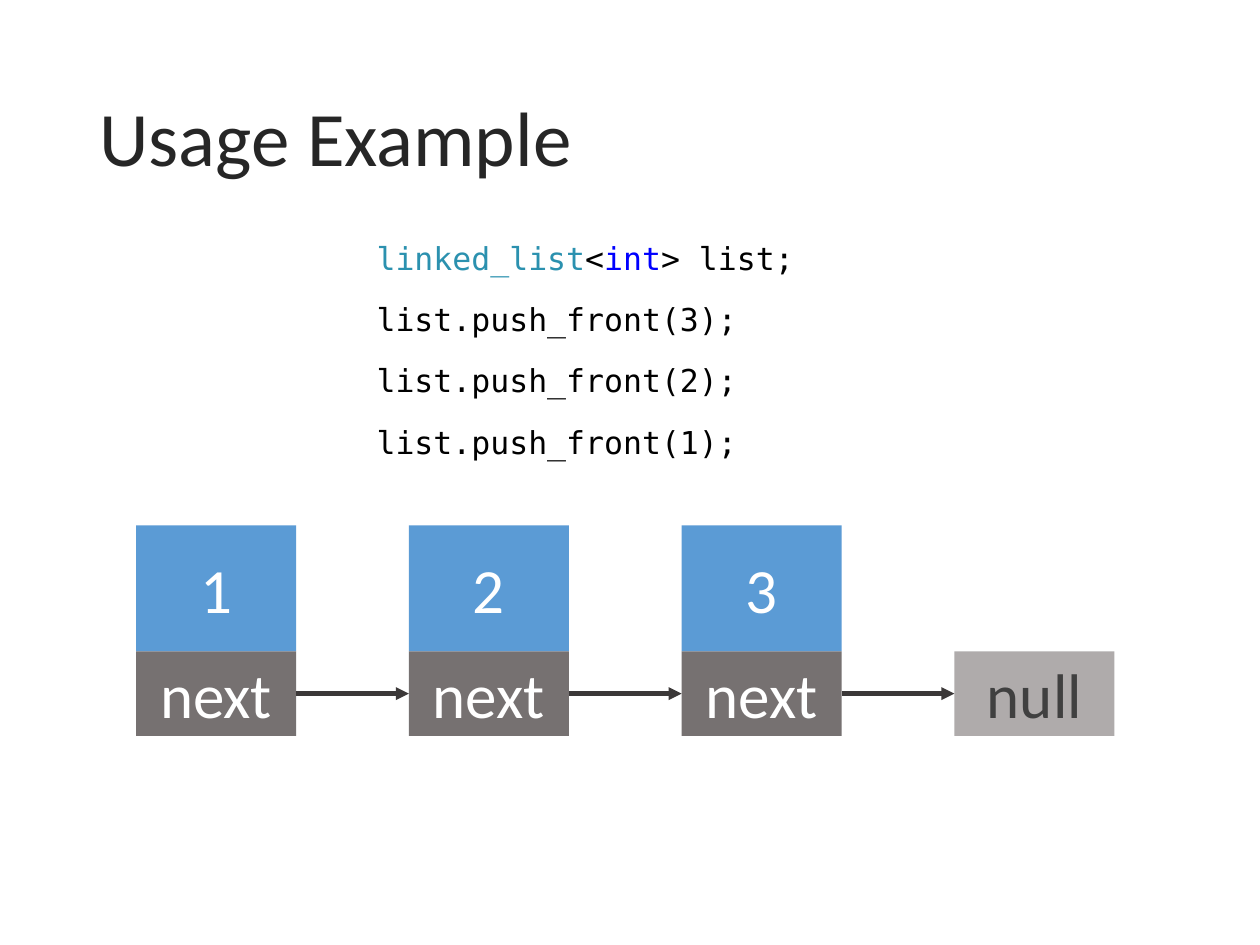
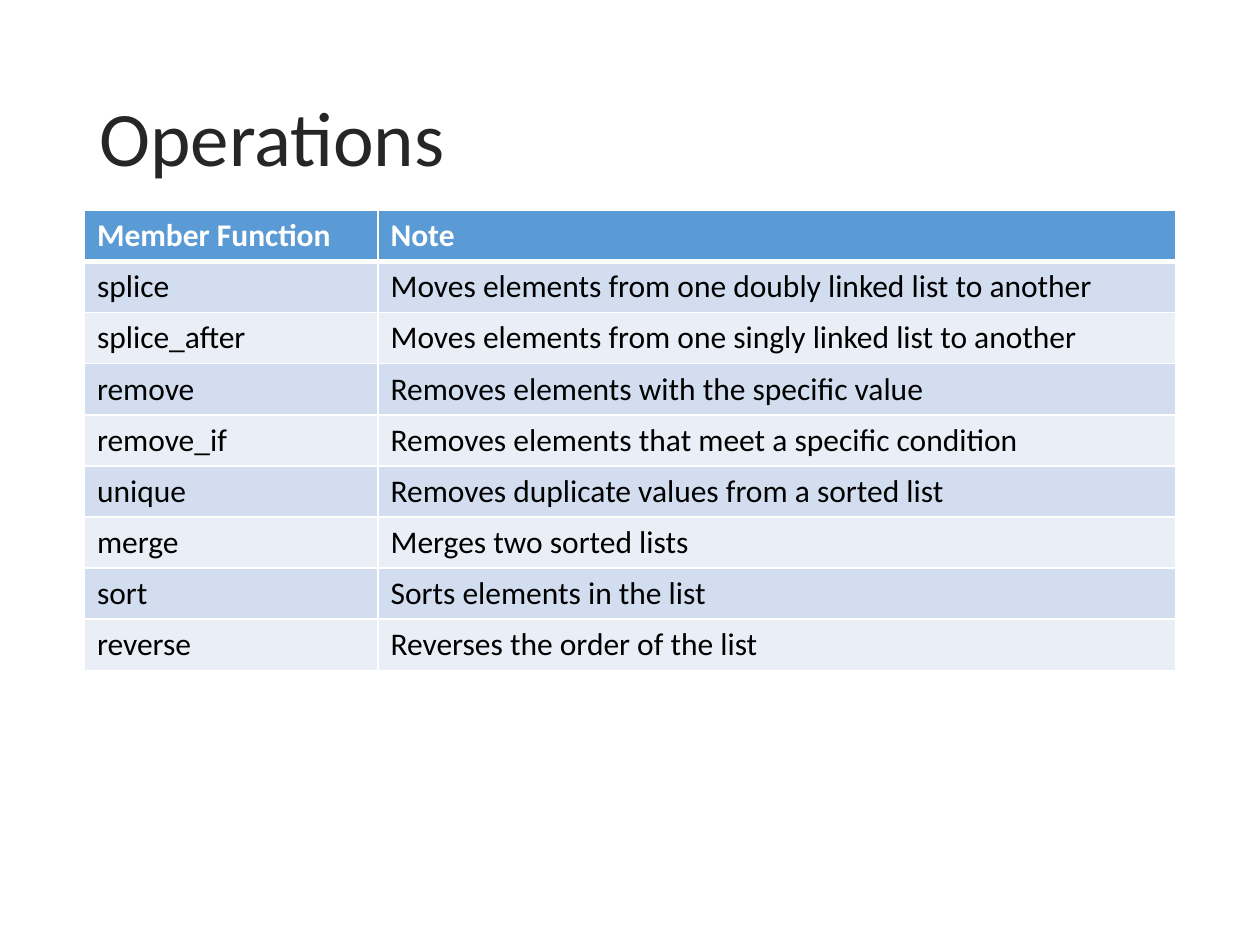
from lxml.etree import SubElement
from pptx import Presentation
from pptx.dml.color import RGBColor
from pptx.enum.shapes import MSO_CONNECTOR as Connector, MSO_SHAPE as Shape
from pptx.enum.text import MSO_ANCHOR as Anchor, PP_ALIGN as Align
from pptx.oxml import parse_xml
from pptx.oxml.ns import nsdecls, qn
from pptx.util import Inches, Pt

COLORS = {
    "title": "262626", "type": "2B91AF", "keyword": "0000FF", "text": "000000",
    "white": "FFFFFF", "accent": "5B9BD5", "next": "767171", "null": "AFABAB",
    "null_text": "404040", "arrow": "3B3838", "odd_row": "D2DEEF", "even_row": "EAEFF7",
}
BODY_FONT = "Calibri"
CODE_FONT = "DejaVu Sans Mono"


def write_runs(paragraph, parts, size, font_name=BODY_FONT, bold=False):
    for text, color in parts:
        run = paragraph.add_run()
        run.text = text
        run.font.size = Pt(size)
        run.font.name = font_name
        run.font.bold = bold
        run.font.color.rgb = RGBColor.from_string(COLORS[color])


def add_box(slide, left, top, height, text, fill, text_color="white"):
    box = slide.shapes.add_shape(
        Shape.RECTANGLE, Inches(left), Inches(top), Inches(NODE_WIDTH), Inches(height))
    box.shadow.inherit = False
    box.fill.solid()
    box.fill.fore_color.rgb = RGBColor.from_string(COLORS[fill])
    box.line.fill.background()
    box.text_frame.vertical_anchor = Anchor.MIDDLE
    paragraph = box.text_frame.paragraphs[0]
    paragraph.alignment = Align.CENTER
    write_runs(paragraph, [(text, text_color)], 36)
    return box


presentation = Presentation()
presentation.slide_width = Inches(10)
presentation.slide_height = Inches(7.5)

slides = []
for title in ["Usage Example", "Operations"]:
    slide = presentation.slides.add_slide(presentation.slide_layouts[6])
    title_box = slide.shapes.add_textbox(Inches(0.69), Inches(0.4), Inches(8.62), Inches(1.45))
    title_box.text_frame.word_wrap = True
    title_box.text_frame.vertical_anchor = Anchor.MIDDLE
    paragraph = title_box.text_frame.paragraphs[0]
    paragraph.line_spacing = 0.9
    write_runs(paragraph, [(title, "title")], 44)
    slides.append(slide)
usage_slide, operations_slide = slides

code_lines = [
    [("linked_list", "type"), ("<", "text"), ("int", "keyword"), ("> list;", "text")],
    [("list.push_front(3);", "text")],
    [("list.push_front(2);", "text")],
    [("list.push_front(1);", "text")],
]
for index, parts in enumerate(code_lines):
    code_box = usage_slide.shapes.add_textbox(
        Inches(2.89), Inches(1.85 + index * 0.485), Inches(6.42), Inches(0.4))
    code_box.text_frame.word_wrap = True
    write_runs(code_box.text_frame.paragraphs[0], parts, 18, CODE_FONT)

NODE_LEFT, NODE_PITCH, NODE_WIDTH = 1.08, 2.165, 1.27
VALUE_TOP, VALUE_HEIGHT, NEXT_HEIGHT = 4.17, 1, 0.67
NEXT_TOP = VALUE_TOP + VALUE_HEIGHT

link_boxes = []
for index, value in enumerate(["1", "2", "3"]):
    left = NODE_LEFT + index * NODE_PITCH
    add_box(usage_slide, left, VALUE_TOP, VALUE_HEIGHT, value, "accent")
    link_boxes.append(add_box(usage_slide, left, NEXT_TOP, NEXT_HEIGHT, "next", "next"))
link_boxes.append(add_box(
    usage_slide, NODE_LEFT + 3 * NODE_PITCH, NEXT_TOP, NEXT_HEIGHT, "null", "null", "null_text"))

for source, target in zip(link_boxes, link_boxes[1:]):
    arrow = usage_slide.shapes.add_connector(Connector.STRAIGHT, 0, 0, 0, 0)
    arrow.begin_connect(source, 3)
    arrow.end_connect(target, 1)
    arrow.line.color.rgb = RGBColor.from_string(COLORS["arrow"])
    arrow.line.width = Pt(2.5)
    SubElement(arrow.line._get_or_add_ln(), qn("a:tailEnd"), type="triangle")
    SubElement(arrow._element.spPr, qn("a:effectLst"))

operations = [
    ("Member Function", "Note"),
    ("splice", "Moves elements from one doubly linked list to another"),
    ("splice_after", "Moves elements from one singly linked list to another"),
    ("remove", "Removes elements with the specific value"),
    ("remove_if", "Removes elements that meet a specific condition"),
    ("unique", "Removes duplicate values from a sorted list"),
    ("merge", "Merges two sorted lists"),
    ("sort", "Sorts elements in the list"),
    ("reverse", "Reverses the order of the list"),
]
ROW_HEIGHT = 3.65 / len(operations)
table = operations_slide.shapes.add_table(
    len(operations), 2, Inches(0.67), Inches(1.67), Inches(8.66), Inches(3.65)).table
table.columns[0].width = Inches(2.33)
table.columns[1].width = Inches(6.33)

for row_index, texts in enumerate(operations):
    table.rows[row_index].height = Inches(ROW_HEIGHT)
    is_header = row_index == 0
    fill = "accent" if is_header else "odd_row" if row_index % 2 else "even_row"
    for column_index, text in enumerate(texts):
        cell = table.cell(row_index, column_index)
        cell.fill.solid()
        cell.fill.fore_color.rgb = RGBColor.from_string(COLORS[fill])
        write_runs(cell.text_frame.paragraphs[0],
                   [(text, "white" if is_header else "text")], 18, bold=is_header)
        for position, side in enumerate("LRTB"):
            is_header_rule = (row_index, side) in [(0, "B"), (1, "T")]
            border = parse_xml(
                f'<a:ln{side} {nsdecls("a")} w="{Pt(3 if is_header_rule else 1)}"><a:solidFill>'
                f'<a:srgbClr val="{COLORS["white"]}"/></a:solidFill></a:ln{side}>')
            cell._tc.get_or_add_tcPr().insert(position, border)

presentation.save("out.pptx")
